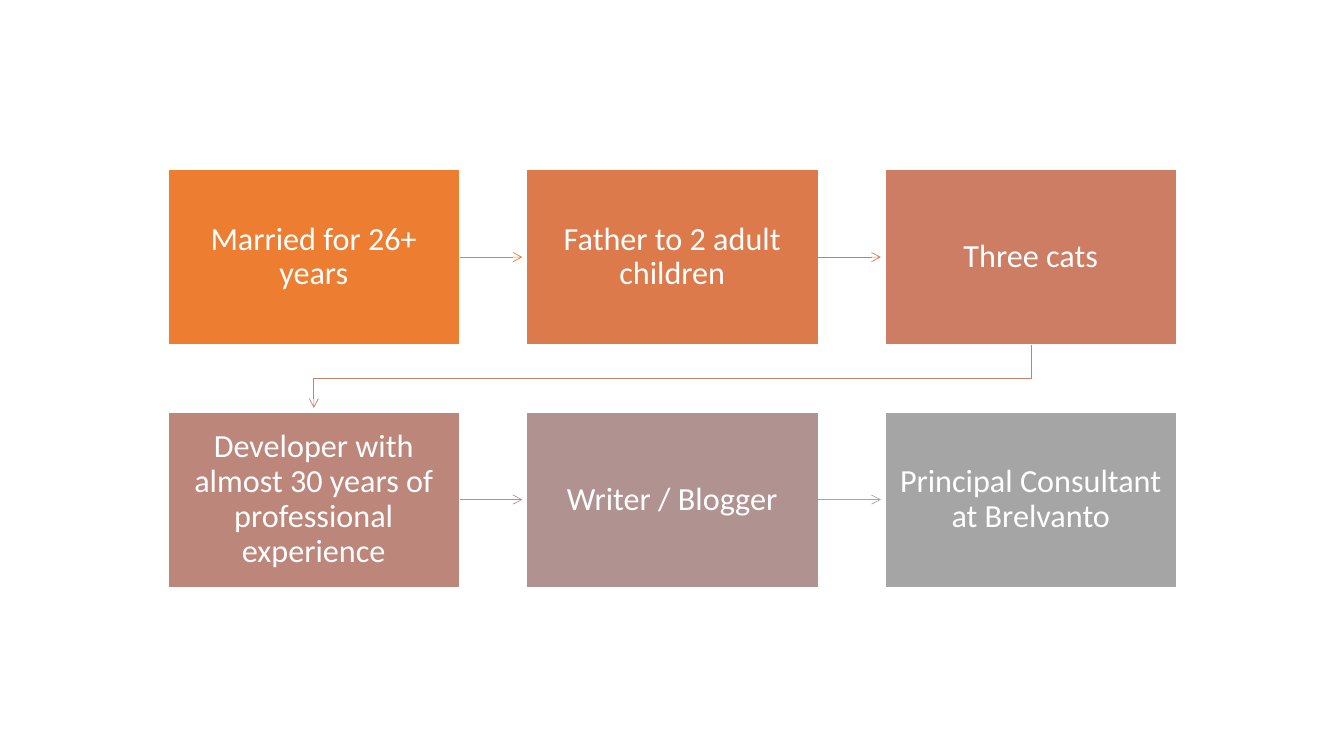
from pptx import Presentation
from pptx.dml.color import RGBColor
from pptx.enum.shapes import MSO_CONNECTOR as Connector, MSO_SHAPE as Shape
from pptx.enum.text import MSO_ANCHOR as Anchor, PP_ALIGN as Align
from pptx.oxml.ns import qn
from pptx.util import Cm, Pt
from lxml.etree import SubElement

FACTS = [  # wording, box fill, colour of the arrow to the next box
    ("Married for 26+ years", "ED7D31", "ED7D31"),
    ("Father to 2 adult children", "DC7A4B", "D87A51"),
    ("Three cats", "CC7D64", "C48170"),
    ("Developer with almost 30 years of professional experience", "BD867B", "B4908B"),
    ("Writer / Blogger", "B09391", "A5A5A5"),
    ("Principal Consultant at Brelvanto", "A5A5A5", None),
]
COLUMNS = 3
BOX_WIDTH, BOX_HEIGHT = Cm(7.36), Cm(4.42)
ARROW_GAP = Cm(0.1)


def color(hex_string):
    return RGBColor.from_string(hex_string)


def add_fact_box(slide, left, top, wording, fill):
    box = slide.shapes.add_shape(Shape.RECTANGLE, left, top, BOX_WIDTH, BOX_HEIGHT)
    box.shadow.inherit = False
    box.fill.solid()
    box.fill.fore_color.rgb = color(fill)
    box.line.color.rgb = color("FFFFFF")
    box.line.width = Pt(1)

    frame = box.text_frame
    frame.word_wrap = True
    frame.vertical_anchor = Anchor.MIDDLE
    frame.margin_left = frame.margin_right = Cm(0.36)
    frame.margin_top = frame.margin_bottom = Cm(0.38)
    paragraph = frame.paragraphs[0]
    paragraph.alignment = Align.CENTER
    paragraph.line_spacing = 0.9
    run = paragraph.add_run()
    run.text = wording
    run.font.name = "Calibri"
    run.font.size = Pt(23)
    run.font.color.rgb = color("FFFFFF")
    return box


def style_arrow(arrow, tint):
    arrow.line.color.rgb = color(tint)
    arrow.line.width = Pt(0.5)
    SubElement(arrow.line._get_or_add_ln(), qn("a:tailEnd"), type="arrow")


def add_row_arrow(slide, start, end, tint):
    middle = start.top + start.height // 2
    arrow = slide.shapes.add_connector(
        Connector.STRAIGHT, start.left + start.width, middle, end.left - ARROW_GAP, middle)
    arrow.begin_connect(start, 3)
    style_arrow(arrow, tint)
    SubElement(arrow._element.spPr, qn("a:effectLst"))


def add_wrap_arrow(slide, start, end, tint):
    start_x = start.left + start.width // 2
    end_x = end.left + end.width // 2
    start_y = start.top + start.height
    turn_y = (start_y + end.top) // 2
    outline = slide.shapes.build_freeform(start_x, start_y)
    outline.add_line_segments(
        [(start_x, turn_y), (end_x, turn_y), (end_x, end.top - ARROW_GAP)], close=False)
    arrow = outline.convert_to_shape()
    arrow.shadow.inherit = False
    arrow.fill.background()
    style_arrow(arrow, tint)


def add_fact_flow(slide, left, top, width, height):
    # Boxes fill the area row by row
    step_x = (width - BOX_WIDTH) // (COLUMNS - 1)
    step_y = height - BOX_HEIGHT
    boxes = []
    for index, (wording, fill, _) in enumerate(FACTS):
        row, column = divmod(index, COLUMNS)
        boxes.append(add_fact_box(
            slide, left + column * step_x, top + row * step_y, wording, fill))

    # Arrows lead from each box to the next
    for start, end, (_, _, tint) in zip(boxes, boxes[1:], FACTS):
        add_arrow = add_row_arrow if start.top == end.top else add_wrap_arrow
        add_arrow(slide, start, end, tint)


def main():
    deck = Presentation()
    deck.slide_width, deck.slide_height = Cm(33.87), Cm(19.05)
    slide = deck.slides.add_slide(deck.slide_layouts[6])
    add_fact_flow(slide, Cm(4.23), Cm(4.27), Cm(25.43), Cm(10.53))
    deck.save("out.pptx")


if __name__ == "__main__":
    main()
